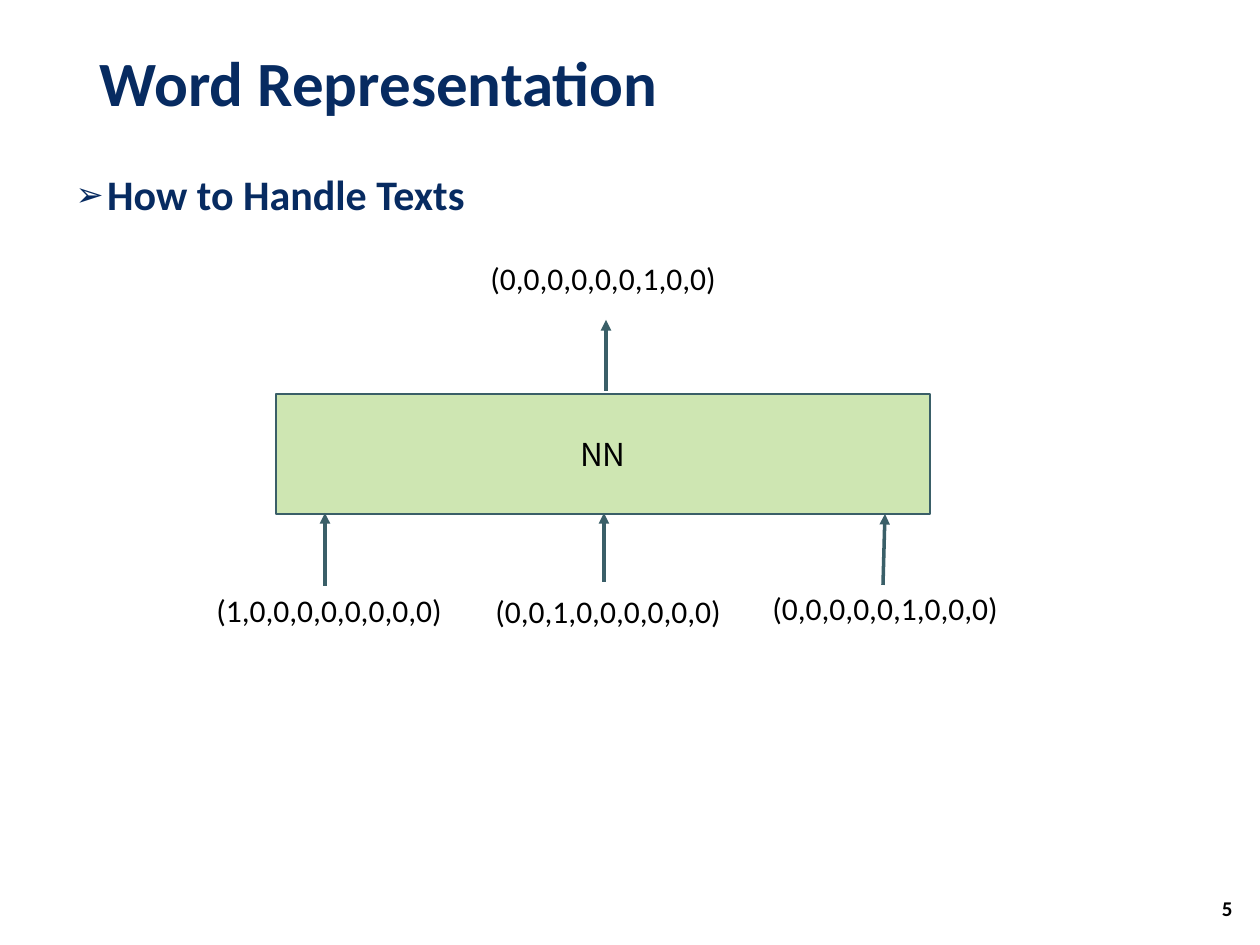
"""Build the Word Representation slide: one-hot vectors through a neural network."""
from lxml import etree
from pptx import Presentation
from pptx import util as u
from pptx.dml.color import RGBColor
from pptx.enum import shapes, text
from pptx.oxml.ns import qn

PX = u.Inches(1) / 126
NAVY = RGBColor(0x07, 0x2B, 0x61)
TEAL = RGBColor(0x3A, 0x5F, 0x68)
GREEN = RGBColor(0xCE, 0xE6, 0xB2)
BLACK = RGBColor(0, 0, 0)

TITLE = ("Word Representation", (87, 23, 1086, 127))
BULLET = ("How to Handle Texts", (63, 168, 1134, 680))
NETWORK = ("NN", (276, 394, 654, 120))
PAGE_NUMBER = ("5", (1179, 883, 66, 50))
VECTOR_SIZE = (257, 50)
VECTORS = [
    ("(0,0,0,0,0,0,1,0,0)", (478, 253)),
    ("(1,0,0,0,0,0,0,0,0)", (204, 585)),
    ("(0,0,1,0,0,0,0,0,0)", (483, 586)),
    ("(0,0,0,0,0,1,0,0,0)", (760, 583)),
]
ARROWS = [
    (606, 391, 606, 320),
    (325, 586, 325, 513),
    (604, 582, 604, 513),
    (883, 585, 885, 514),
]

HEADING = {"name": "Calibri", "size": u.Pt(36), "bold": True, "color": NAVY}
SUBHEADING = HEADING | {"size": u.Pt(24)}
VECTOR = {"name": "Calibri", "size": u.Pt(18), "color": BLACK}
NETWORK_LABEL = VECTOR | {"name": "Noto Sans CJK KR"}
NUMBER = VECTOR | {"size": u.Pt(12), "bold": True}


def emu(lengths):
    return [round(length * PX) for length in lengths]


def place(shape, box):
    for name, value in zip(("left", "top", "width", "height"), emu(box)):
        setattr(shape, name, value)


def write(shape, words, font, align=text.PP_ALIGN.LEFT, anchor=text.MSO_ANCHOR.TOP):
    frame = shape.text_frame
    frame.text = words
    frame.word_wrap = True
    frame.vertical_anchor = anchor
    paragraph = frame.paragraphs[0]
    paragraph.alignment = align
    for name, value in font.items():
        if name == "color":
            paragraph.runs[0].font.color.rgb = value
        else:
            setattr(paragraph.runs[0].font, name, value)
    return paragraph


def add_bullet(paragraph, character, percent):
    properties = paragraph._p.get_or_add_pPr()
    indent = u.Inches(0.25)
    properties.set("marL", str(indent))
    properties.set("indent", str(-indent))
    etree.SubElement(properties, qn("a:buSzPct"), val=str(percent * 1000))
    etree.SubElement(properties, qn("a:buChar"), char=character)


def add_arrow(slide, ends):
    arrow = slide.shapes.add_connector(shapes.MSO_CONNECTOR.STRAIGHT, *emu(ends))
    arrow.line.color.rgb = TEAL
    arrow.line.width = u.Pt(2)
    etree.SubElement(arrow.line._get_or_add_ln(), qn("a:tailEnd"), type="triangle")
    etree.SubElement(arrow._element.spPr, qn("a:effectLst"))


def main():
    presentation = Presentation()
    presentation.slide_width, presentation.slide_height = u.Inches(10), u.Inches(7.5)
    slide = presentation.slides.add_slide(presentation.slide_layouts[1])
    middle = text.MSO_ANCHOR.MIDDLE

    title, body = slide.placeholders
    place(title, TITLE[1])
    write(title, TITLE[0], HEADING, anchor=middle).line_spacing = 0.9
    place(body, BULLET[1])
    paragraph = write(body, BULLET[0], SUBHEADING)
    paragraph.line_spacing = 0.9
    paragraph.space_before = u.Pt(0)
    add_bullet(paragraph, "➢", 80)

    network = slide.shapes.add_shape(shapes.MSO_SHAPE.RECTANGLE, *emu(NETWORK[1]))
    network.shadow.inherit = False
    network.fill.solid()
    network.fill.fore_color.rgb = GREEN
    network.line.color.rgb = TEAL
    network.line.width = u.Pt(1)
    write(network, NETWORK[0], NETWORK_LABEL, text.PP_ALIGN.CENTER, middle)

    for ends in ARROWS:
        add_arrow(slide, ends)
    for words, corner in VECTORS:
        write(slide.shapes.add_textbox(*emu(corner + VECTOR_SIZE)), words, VECTOR)

    number = slide.shapes.add_textbox(*emu(PAGE_NUMBER[1]))
    write(number, PAGE_NUMBER[0], NUMBER, text.PP_ALIGN.RIGHT, middle)
    presentation.save("out.pptx")


if __name__ == "__main__":
    main()
